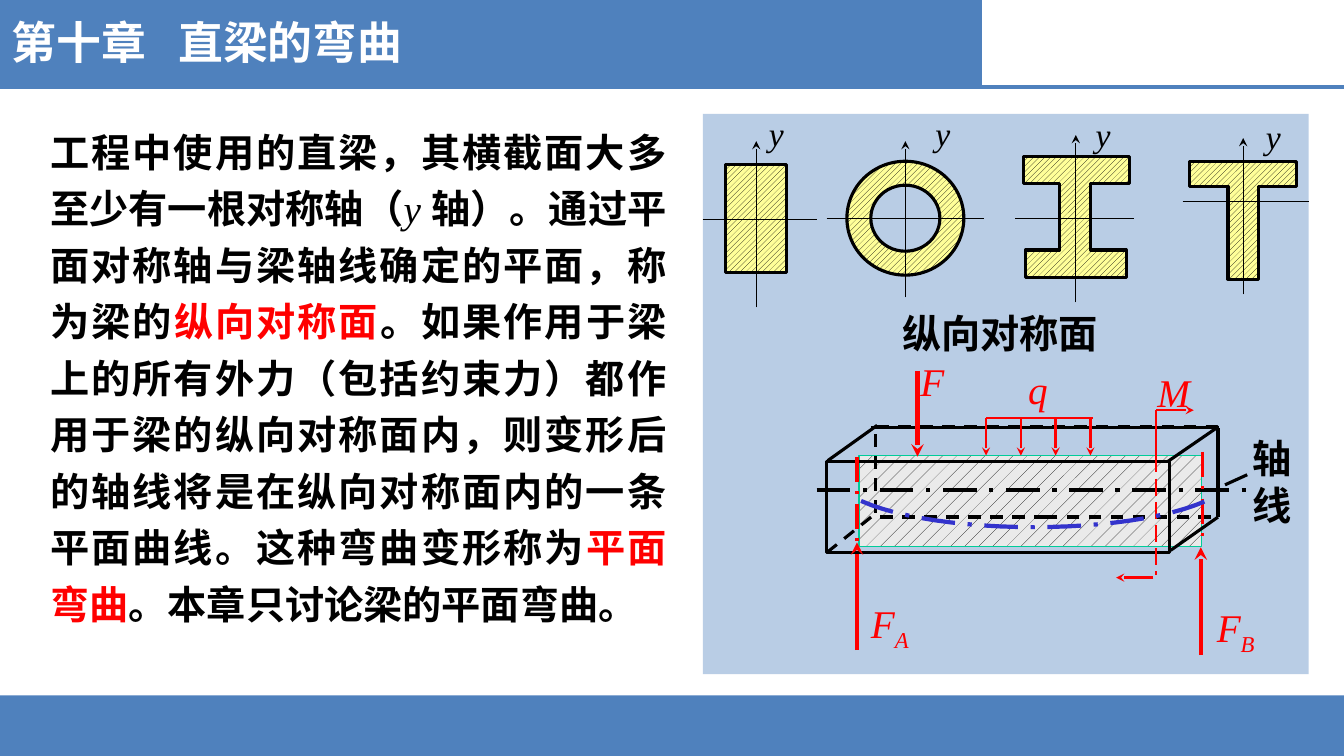
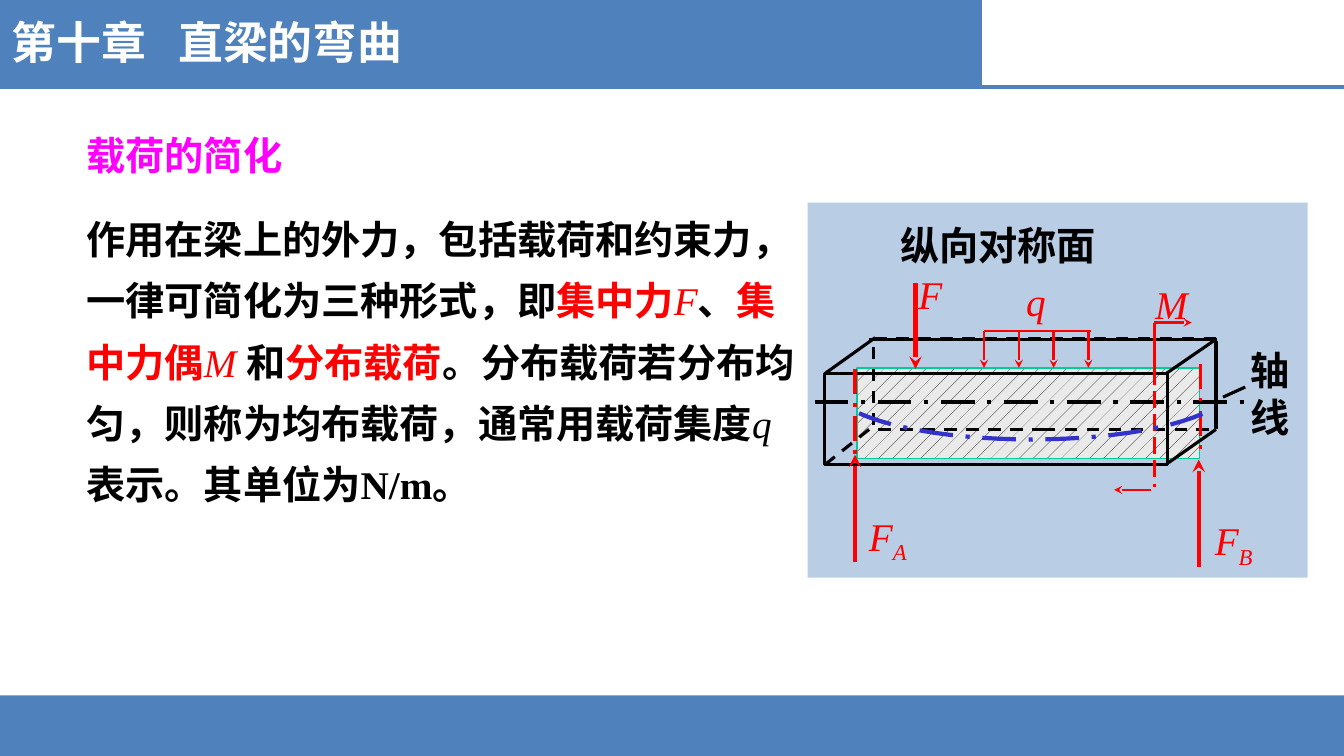
"""Builds two slides on the plane bending of straight beams."""
from lxml import etree
from pptx import Presentation
from pptx.dml.color import RGBColor
from pptx.enum.dml import MSO_LINE, MSO_PATTERN
from pptx.enum.shapes import MSO_CONNECTOR, MSO_SHAPE
from pptx.enum.text import MSO_AUTO_SIZE, PP_ALIGN
from pptx.oxml.ns import qn
from pptx.util import Inches, Pt

BLUE = RGBColor(0x4F, 0x81, 0xBD)
PANEL = RGBColor(0xB9, 0xCD, 0xE5)
BLACK = RGBColor(0, 0, 0)
WHITE = RGBColor(0xFF, 0xFF, 0xFF)
RED = RGBColor(0xFF, 0, 0)
MAGENTA = RGBColor(0xFF, 0, 0xFF)
YELLOW = RGBColor(0xFF, 0xFF, 0x99)
GREY = RGBColor(0xEA, 0xEA, 0xEA)
GREEN = RGBColor(0, 0xCC, 0x99)
INDIGO = RGBColor(0x33, 0x33, 0xCC)

RECT = MSO_SHAPE.RECTANGLE
DONUT = MSO_SHAPE.DONUT
STRAIGHT = MSO_CONNECTOR.STRAIGHT
DASH = MSO_LINE.DASH
LONG_DASH = MSO_LINE.LONG_DASH
DASH_DOT = MSO_LINE.LONG_DASH_DOT
HATCH = MSO_PATTERN.WIDE_UPWARD_DIAGONAL
DOTS = MSO_PATTERN.PERCENT_5
LEFT = PP_ALIGN.LEFT
CENTER = PP_ALIGN.CENTER
JUSTIFY = PP_ALIGN.JUSTIFY
GROW = MSO_AUTO_SIZE.SHAPE_TO_FIT_TEXT

CJK_FONT = "Noto Sans CJK SC"
LATIN_FONT = "Times New Roman"
SYMBOL = {"bold": False, "italic": True}
RED_SYMBOL = {**SYMBOL, "color": RED}


def write(para, text, size=28, color=BLACK, bold=True, italic=False,
          font=LATIN_FONT, baseline=0):
    span = para.add_run()
    span.text = text
    span.font.size = Pt(size)
    span.font.bold = bold
    span.font.italic = italic
    span.font.color.rgb = color
    span.font.name = font
    properties = span._r.get_or_add_rPr()
    etree.SubElement(properties, qn("a:ea")).set("typeface", CJK_FONT)
    if baseline:
        properties.set("baseline", str(baseline * 1000))


class Lesson:
    def __init__(self):
        self.deck = Presentation()
        self.deck.slide_width = Inches(13.33)
        self.deck.slide_height = Inches(7.5)

    def new_page(self):
        self.page = self.deck.slides.add_slide(self.deck.slide_layouts[6])
        self.shift(0, 0)
        self.shape(0, 6.9, 13.33, 0.6, fill=BLUE)
        self.shape(0, 0, 9.74, 0.86, fill=BLUE)
        self.line(0, 0.86, 13.33, 0.86, BLUE, 3)
        self.text(0.02, 0.1, 4.19, 0.64, [
            ("第十章\t直梁的弯曲",
             {"size": 32, "color": WHITE, "font": CJK_FONT})], tab=1.65)

    def shift(self, dx, dy):
        self.dx, self.dy = dx, dy

    def place(self, x, y):
        return Inches(x + self.dx), Inches(y + self.dy)

    def style(self, shape, fill=None, pattern=None, line=None, weight=2.25, dash=None):
        shape.shadow.inherit = False
        if pattern:
            shape.fill.patterned()
            shape.fill.pattern = pattern
            shape.fill.fore_color.rgb = BLACK
            shape.fill.back_color.rgb = fill
        elif fill:
            shape.fill.solid()
            shape.fill.fore_color.rgb = fill
        else:
            shape.fill.background()
        if line is None:
            shape.line.fill.background()
        else:
            self.stroke(shape, line, weight, dash)

    def stroke(self, shape, color, weight, dash):
        shape.line.color.rgb = color
        shape.line.width = Pt(weight)
        if dash:
            shape.line.dash_style = dash

    def shape(self, x, y, width, height, kind=RECT, **look):
        shape = self.page.shapes.add_shape(
            kind, *self.place(x, y), Inches(width), Inches(height))
        self.style(shape, **look)
        return shape

    def outline(self, points, close=True, **look):
        corners = [self.place(x, y) for x, y in points]
        builder = self.page.shapes.build_freeform(*corners[0])
        builder.add_line_segments(corners[1:], close=close)
        self.style(builder.convert_to_shape(), **look)

    def line(self, x1, y1, x2, y2, color=BLACK, weight=2.25, dash=None, arrow=False):
        connector = self.page.shapes.add_connector(
            STRAIGHT, *self.place(x1, y1), *self.place(x2, y2))
        self.stroke(connector, color, weight, dash)
        if arrow:
            end = etree.SubElement(connector.line._get_or_add_ln(), qn("a:tailEnd"))
            end.set("type", "stealth")
        etree.SubElement(connector._element.spPr, qn("a:effectLst"))

    def text(self, x, y, width, height, spans, align=LEFT, spacing=None,
             grow=False, tab=None):
        box = self.page.shapes.add_textbox(
            *self.place(x, y), Inches(width), Inches(height))
        frame = box.text_frame
        frame.word_wrap = True
        if grow:
            frame.auto_size = GROW
        para = frame.paragraphs[0]
        if tab:
            stops = etree.SubElement(para._p.get_or_add_pPr(), qn("a:tabLst"))
            stop = etree.SubElement(stops, qn("a:tab"))
            stop.set("pos", str(Inches(tab)))
            stop.set("algn", "l")
        para.alignment = align
        if spacing:
            para.line_spacing = spacing
        for words, look in spans:
            write(para, words, **look)


def sag_points(steps=12):
    controls = [(8.54, 4.97), (8.92, 5.14), (9.57, 5.23), (10.25, 5.23)]
    half = []
    for step in range(steps + 1):
        t = step / steps
        shares = [(1 - t) ** 3, 3 * t * (1 - t) ** 2, 3 * t * t * (1 - t), t ** 3]
        half.append([sum(share * point[axis] for share, point in zip(shares, controls))
                     for axis in (0, 1)])
    middle = controls[-1][0]
    return half + [(2 * middle - x, y) for x, y in reversed(half[:-1])]


def draw_sections(lesson):
    look = {"fill": YELLOW, "pattern": HATCH, "line": BLACK}
    lesson.shape(7.2, 1.63, 0.6, 1.07, **look)
    ring = lesson.shape(8.4, 1.6, 1.16, 1.13, DONUT, **look)
    ring.adjustments[0] = 0.21
    lesson.outline([
        (10.15, 1.55), (11.2, 1.55), (11.2, 1.82), (10.82, 1.82),
        (10.82, 2.48), (11.17, 2.48), (11.17, 2.75), (10.17, 2.75),
        (10.17, 2.48), (10.51, 2.48), (10.51, 1.82), (10.15, 1.82)], **look)
    lesson.outline([
        (11.8, 1.6), (12.86, 1.6), (12.86, 1.85), (12.48, 1.85),
        (12.48, 2.77), (12.18, 2.77), (12.18, 1.85), (11.8, 1.85)], **look)
    axes = [
        (7.5, 1.4, 3.05, 2.18, 6.97, 8.1, 7.41, 1.07),
        (8.98, 1.4, 2.95, 2.17, 8.2, 9.76, 9.06, 1.07),
        (10.67, 1.34, 3, 2.17, 10.07, 11.25, 10.65, 1.08),
        (12.33, 1.37, 2.92, 2, 11.73, 12.98, 12.34, 1.1)]
    for x, top, bottom, y, left, right, label_x, label_y in axes:
        lesson.line(left, y, right, y, weight=0.5)
        lesson.line(x, bottom, x, top, weight=0.5, arrow=True)
        lesson.text(label_x, label_y, 0.58, 0.7,
                    [("y", {**SYMBOL, "size": 24})], CENTER)


def draw_beam(lesson, dx=0, dy=0):
    lesson.shift(dx, dy)
    lesson.shape(8.52, 4.52, 3.4, 0.9, fill=GREY, pattern=DOTS, line=GREEN, weight=1)
    lesson.shape(8.2, 4.58, 3.4, 0.9, line=BLACK)
    lesson.shape(8.68, 4.23, 3.4, 0.9, line=BLACK, dash=DASH)
    for edge in [(8.7, 4.22, 8.21, 4.57), (12.06, 4.25, 11.58, 4.58),
                 (12.08, 5.13, 11.61, 5.46), (12.08, 4.25, 12.08, 5.13),
                 (8.64, 4.24, 12.09, 4.24), (12.37, 4.71, 12.15, 4.81)]:
        lesson.line(*edge)
    lesson.line(8.64, 5.13, 8.19, 5.49, dash=DASH)
    lesson.line(8.1, 4.86, 12.43, 4.86, weight=3, dash=DASH_DOT)
    lesson.text(12.32, 4.26, 0.93, 0.5, [("轴线", {})])
    lesson.text(8.85, 3.02, 2.28, 0.5, [("纵向对称面", {})])

    lesson.line(11.47, 4.52, 11.47, 5.7, RED, 1.5, LONG_DASH)
    lesson.line(11.47, 4.07, 11.47, 4.55, RED, 1.5)
    lesson.line(9.78, 4.15, 10.84, 4.15, RED, 1.5)
    for index in range(4):
        x = 9.78 + index * 0.345
        lesson.line(x, 4.15, x, 4.52, RED, 1.75, arrow=True)
    for x1, y, x2 in [(11.44, 5.73, 11.07), (11.47, 4.07, 11.84)]:
        lesson.line(x1, y, x2, y, RED, 1.75, arrow=True)
    for x, start, end in [(9.1, 3.68, 4.53), (11.91, 6.5, 5.43), (8.5, 6.45, 5.38)]:
        lesson.line(x, start, x, end, RED, 3, arrow=True)
    for x, top in [(8.5, 4.53), (11.93, 4.48)]:
        lesson.line(x, top, x, top + 0.9, RED, 2.25, DASH_DOT)
    lesson.outline(sag_points(), close=False, line=INDIGO, weight=3, dash=DASH_DOT)

    for x, y, letter, index in [(9.03, 3.5, "F", ""), (10.1, 3.57, "q", ""),
                                (11.38, 3.6, "M", ""), (8.54, 5.9, "F", "A"),
                                (11.97, 5.94, "F", "B")]:
        spans = [(letter, RED_SYMBOL)]
        if index:
            spans.append((index, {**RED_SYMBOL, "baseline": -25}))
        lesson.text(x, y, 0.8, 0.62, spans)


def main():
    lesson = Lesson()
    key = {"color": RED}

    lesson.new_page()
    lesson.shape(6.97, 1.13, 6.01, 5.56, fill=PANEL)
    lesson.text(0.4, 1.13, 6.31, 5.19, [
        ("工程中使用的直梁，其横截面大多至少有一根对称轴（", {}),
        ("y ", SYMBOL),
        ("轴）。通过平面对称轴与梁轴线确定的平面，称为梁的", {}),
        ("纵向对称面", key),
        ("。如果作用于梁上的所有外力（包括约束力）都作用于梁的纵向对称面内，"
         "则变形后的轴线将是在纵向对称面内的一条平面曲线。这种弯曲变形称为", {}),
        ("平面弯曲", key),
        ("。本章只讨论梁的平面弯曲。", {})], JUSTIFY, 1.2, grow=True)
    draw_sections(lesson)
    draw_beam(lesson)

    lesson.new_page()
    lesson.text(0.76, 1.11, 9.27, 0.71,
                [("载荷的简化", {"color": MAGENTA})], spacing=1.3, grow=True)
    lesson.shape(8.01, 2.01, 4.96, 3.72, fill=PANEL)
    lesson.text(0.76, 1.95, 7.25, 3.78, [
        ("作用在梁上的外力，包括载荷和约束力，一律可简化为三种形式，即", {}),
        ("集中力", key),
        ("F", RED_SYMBOL),
        ("、", {}),
        ("集中力偶", key),
        ("M ", RED_SYMBOL),
        ("和", {}),
        ("分布载荷", key),
        ("。分布载荷若分布均匀，则称为均布载荷，通常用载荷集度", {}),
        ("q", SYMBOL),
        ("表示。其单位为N/m。", {})], spacing=1.3, grow=True)
    draw_beam(lesson, -0.02, -0.87)

    lesson.deck.save("out.pptx")


if __name__ == "__main__":
    main()
